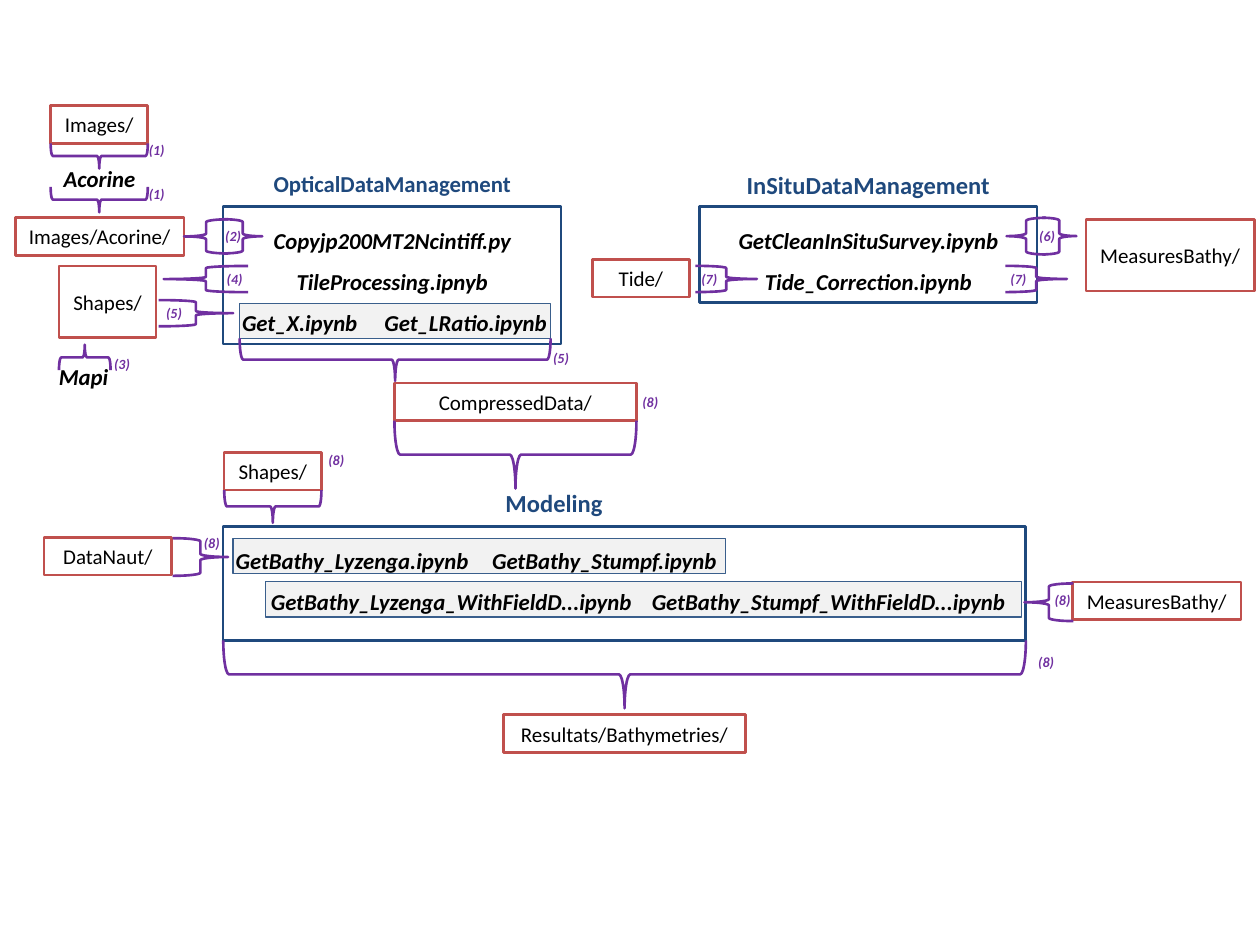
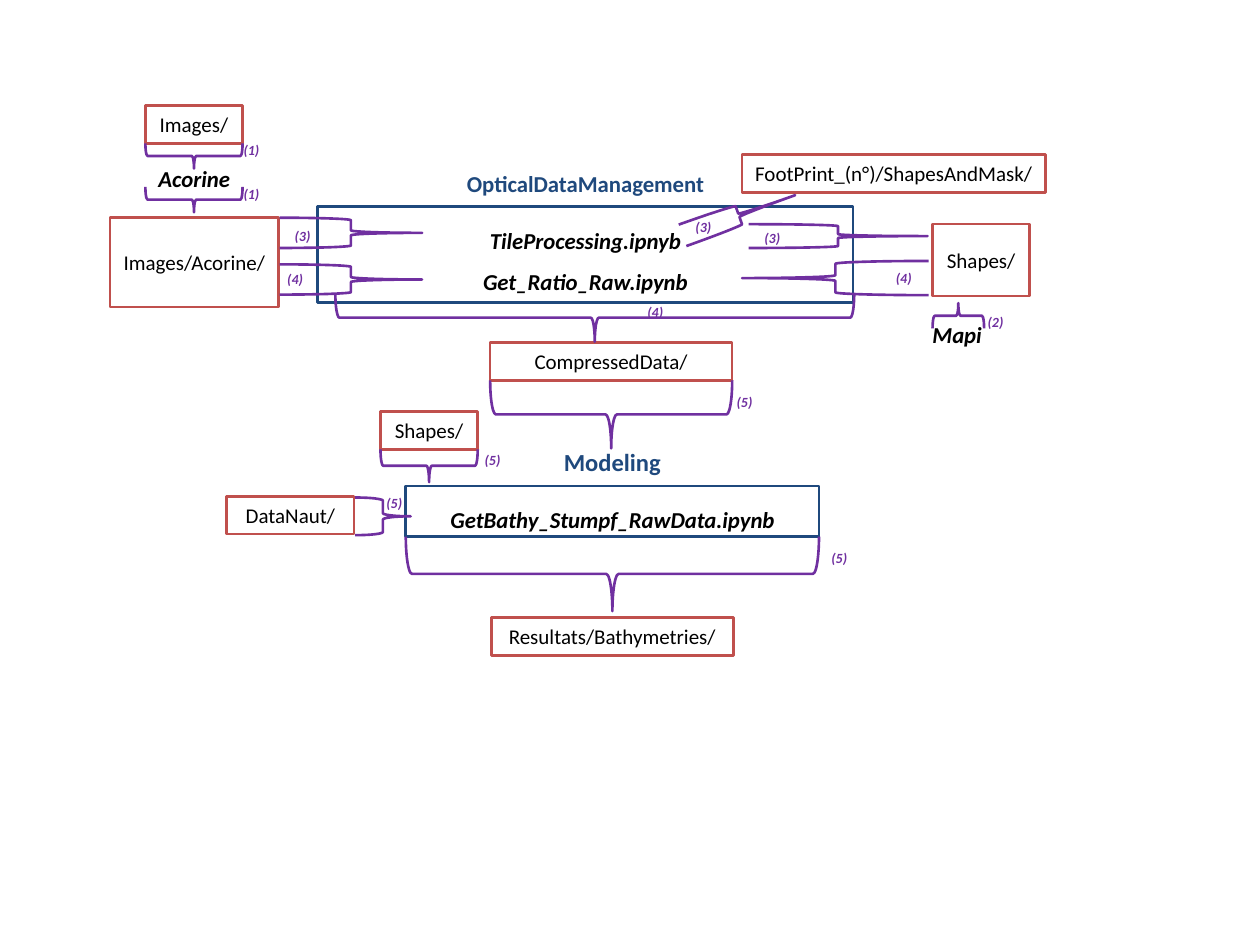
from dataclasses import dataclass

from lxml.etree import SubElement
from pptx import Presentation
from pptx.dml.color import RGBColor
from pptx.enum.shapes import MSO_SHAPE
from pptx.enum.text import MSO_ANCHOR, PP_ALIGN
from pptx.oxml.ns import qn
from pptx.util import Cm, Pt


@dataclass(frozen=True)
class Theme:
    """Colours, type sizes and standard lengths of the workflow diagrams."""

    font: str = "Calibri"
    ink: str = "000000"
    folder: str = "C0504D"
    stage: str = "1F497D"
    step: str = "7030A0"
    group_fill: str = "F2F2F2"
    group_line: str = "3A5F8C"
    heading_size: int = 14
    script_size: int = 13
    folder_size: int = 12
    step_size: int = 8
    line: float = 1.5
    thin_line: float = 0.75
    row: float = 0.76
    small_folder: float = 1.96
    wide_folder: float = 4.88


THEME = Theme()
TIP_ANGLE = {"right": 0, "down": 90, "left": 180, "up": 270}


def lengths(box):
    """Turn centimetre values into slide lengths."""
    return [Cm(value) for value in box]


def apply(target, formats):
    """Set every attribute named in a dict of format values."""
    for name, value in formats.items():
        setattr(target, name, value)


def write(owner, lines, size, color, bold=False, italic=False,
          align=PP_ALIGN.CENTER, anchor=MSO_ANCHOR.TOP, spacing=None):
    """Fill a shape with uniformly formatted paragraphs."""
    frame = owner.text_frame
    apply(frame, {"word_wrap": True, "vertical_anchor": anchor})
    for index, line in enumerate(lines):
        paragraph = frame.add_paragraph() if index else frame.paragraphs[0]
        apply(paragraph, {"alignment": align, "line_spacing": spacing})
        run = paragraph.add_run()
        run.text = line
        apply(run.font, {"name": THEME.font, "size": Pt(size),
                         "bold": bold, "italic": italic})
        run.font.color.rgb = RGBColor.from_string(color)


def outline(slide, kind, box, color, width=THEME.line, fill=None):
    """Add a preset shape with a coloured line and optional fill."""
    shape = slide.shapes.add_shape(kind, *lengths(box))
    shape.shadow.inherit = False
    if fill:
        shape.fill.solid()
        shape.fill.fore_color.rgb = RGBColor.from_string(fill)
    else:
        shape.fill.background()
    shape.line.color.rgb = RGBColor.from_string(color)
    shape.line.width = Pt(width)
    return shape


def folder(slide, text, left, top, width, height=THEME.row):
    """Add a red folder box."""
    box = outline(slide, MSO_SHAPE.RECTANGLE, (left, top, width, height), THEME.folder)
    write(box, [text], THEME.folder_size, THEME.ink, anchor=MSO_ANCHOR.MIDDLE)


def stage(slide, box, scripts):
    """Add a blue stage frame listing its scripts."""
    frame = outline(slide, MSO_SHAPE.RECTANGLE, box, THEME.stage)
    write(frame, scripts, THEME.script_size, THEME.ink, True, True, spacing=1.5)
    return frame


def set_columns(frame, row, stops):
    """Left-align one script row on the given tab stops."""
    paragraph = frame.text_frame.paragraphs[row]
    paragraph.alignment = PP_ALIGN.LEFT
    tabs = SubElement(paragraph._p.get_or_add_pPr(), qn("a:tabLst"))
    for stop in stops:
        SubElement(tabs, qn("a:tab"), pos=str(Cm(stop)), algn="l")


def script_group(slide, left, top, width):
    """Add the grey band behind alternative scripts."""
    outline(slide, MSO_SHAPE.RECTANGLE, (left, top, width, 0.71),
            THEME.group_line, THEME.thin_line, THEME.group_fill)


def caption(slide, text, box, size, color, **style):
    """Add free-standing bold text."""
    write(slide.shapes.add_textbox(*lengths(box)), [text], size, color, True, **style)


def heading(slide, text, left, top, width, size=THEME.heading_size):
    """Add the title above a stage."""
    caption(slide, text, (left, top, width, 0.86), size, THEME.stage)


def tool(slide, text, left, top):
    """Add the name of an external tool."""
    caption(slide, text, (left, top, 2.79, 0.81), THEME.script_size,
            THEME.ink, italic=True)


def step(slide, number, left, top):
    """Add a step number in parentheses."""
    caption(slide, f"({number})", (left, top, 0.96, 0.61), THEME.step_size,
            THEME.step, italic=True, align=PP_ALIGN.LEFT)


def brace(slide, tip, left, top, width, height):
    """Add a brace that covers the given area, by tip side or angle."""
    angle = TIP_ANGLE.get(tip, tip)
    if angle in (90, 270):
        left, top = left + (width - height) / 2, top + (height - width) / 2
        width, height = height, width
    shape = outline(slide, MSO_SHAPE.RIGHT_BRACE, (left, top, width, height), THEME.step)
    shape.rotation = angle


def feeding_folder(slide, text, left, top, width, depth):
    """Add a folder with a brace pointing down from it."""
    folder(slide, text, left, top, width)
    brace(slide, "down", left, top + THEME.row, width, depth)


def image_chain(slide, left, result_height):
    """Add the image correction chain."""
    feeding_folder(slide, "Images/", left, 2.13, THEME.small_folder, 0.51)
    tool(slide, "Acorine", left - 0.41, 3.2)
    brace(slide, "down", left, 3.77, THEME.small_folder, 0.51)
    for top in (2.72, 3.61):
        step(slide, 1, left + 1.73, top)
    folder(slide, "Images/Acorine/", left - 0.71, 4.39, 3.4, result_height)


def shapes_source(slide, left, top, number):
    """Add the shapes folder and the tool that fills it."""
    folder(slide, "Shapes/", left, top, THEME.small_folder, 1.45)
    brace(slide, "up", left, top + 1.59, 1.04, 0.51)
    tool(slide, "Mapi", left - 0.9, top + 1.83)
    step(slide, number, left + 0.86, top + 1.68)


def modeling(slide, box, scripts, number, heading_width, shapes_left, shapes_step_top, depth):
    """Add the modeling stage with its inputs and results."""
    left, top, width, height = box
    bottom = top + height
    heading(slide, "Modeling", left, top - 0.91, heading_width)
    frame = stage(slide, box, scripts)
    feeding_folder(slide, "Shapes/", shapes_left, top - 1.5, THEME.small_folder, 0.66)
    step(slide, number, shapes_left + 1.85, shapes_step_top)
    folder(slide, "DataNaut/", left - 3.61, top + 0.21, 2.57)
    brace(slide, "right", left - 1.02, top + 0.23, 1.12, THEME.row)
    step(slide, number, left - 0.64, top + 0.04)
    brace(slide, "down", left, bottom, width, depth)
    step(slide, number, left + width, bottom + 0.13)
    folder(slide, "Resultats/Bathymetries/", left + (width - THEME.wide_folder) / 2,
           bottom + depth + 0.13, THEME.wide_folder)
    return frame


def add_braces_and_steps(slide, braces, steps):
    """Add the links and step numbers particular to a slide."""
    for link in braces:
        brace(slide, *link)
    for mark in steps:
        step(slide, *mark)


def full_workflow(slide):
    """Draw the workflow with in situ data."""
    for band in ((5.36, 11.73, 15.24), (4.7, 10.85, 9.93), (4.83, 6.12, 6.27)):
        script_group(slide, *band)
    image_chain(slide, 1.02, THEME.row)
    shapes_source(slide, 1.19, 5.36, 3)

    heading(slide, "OpticalDataManagement", 4.5, 3.3, 6.81, THEME.script_size)
    optical = stage(slide, (4.5, 4.17, 6.81, 2.77),
                    ["Copyjp200MT2Ncintiff.py", "TileProcessing.ipnyb",
                     "\tGet_X.ipynb\tGet_LRatio.ipynb"])
    set_columns(optical, 2, (0.13, 3))
    heading(slide, "InSituDataManagement", 14.1, 3.3, 6.81)
    stage(slide, (14.1, 4.17, 6.81, 1.93),
          ["GetCleanInSituSurvey.ipynb", "Tide_Correction.ipynb"])
    folder(slide, "Tide/", 11.94, 5.23, THEME.small_folder)
    folder(slide, "MeasuresBathy/", 21.89, 4.42, 3.4, 1.45)
    folder(slide, "MeasuresBathy/", 21.62, 11.73, 3.4)
    feeding_folder(slide, "CompressedData/", 7.95, 7.72, THEME.wide_folder, 1.37)

    models = modeling(slide, (4.5, 10.62, 16.18, 2.29),
                      ["GetBathy_Lyzenga.ipynb\tGetBathy_Stumpf.ipynb",
                       "\tGetBathy_Lyzenga_WithFieldD...ipynb"
                       "\tGetBathy_Stumpf_WithFieldD...ipynb"],
                      8, 13.34, 4.52, 8.97, 1.37)
    set_columns(models, 0, (5.17,))
    set_columns(models, 1, (0.71, 8.39))
    add_braces_and_steps(
        slide,
        [("right", 4.5, 4.42, 0.79, 0.69), ("left", 3.71, 4.42, 0.89, 0.69),
         ("left", 3.3, 5.36, 1.7, 0.53), ("right", 3.2, 6.05, 1.5, 0.53),
         ("down", 4.83, 6.82, 6.27, 0.86), ("right", 21.01, 4.39, 0.69, 0.74),
         ("left", 20.29, 4.39, 0.79, 0.74), ("right", 14.02, 5.36, 1.24, 0.53),
         ("right", 20.27, 5.36, 1.24, 0.53), ("left", 20.65, 11.76, 0.99, 0.76)],
        [(2, 4.29, 4.47), (4, 4.32, 5.33), (5, 3.1, 6.02), (6, 20.7, 4.47),
         (7, 13.89, 5.33), (7, 20.12, 5.33), (5, 10.9, 6.93),
         (8, 12.7, 7.8), (8, 21.01, 11.81)])


def raw_workflow(slide):
    """Draw the workflow on raw ratios."""
    image_chain(slide, 2.93, 1.8)
    shapes_source(slide, 18.8, 4.52, 2)
    heading(slide, "OpticalDataManagement", 6.4, 3.3, 10.8, THEME.script_size)
    stage(slide, (6.4, 4.17, 10.8, 1.93),
          ["TileProcessing.ipnyb", "Get_Ratio_Raw.ipynb"])
    folder(slide, "FootPrint_(n°)/ShapesAndMask/", 14.96, 3.12, 6.12)
    feeding_folder(slide, "CompressedData/", 9.88, 6.91, THEME.wide_folder, 1.37)
    modeling(slide, (8.18, 9.8, 8.33, 1.02), ["GetBathy_Stumpf_RawData.ipynb"],
             5, 8.33, 7.67, 8.97, 1.5)
    add_braces_and_steps(
        slide,
        [("right", 5.64, 4.39, 2.87, 0.61), ("right", 5.64, 5.33, 2.87, 0.61),
         ("left", 14.96, 5.26, 3.76, 0.69), ("right", 15.09, 4.52, 3.61, 0.48),
         ("down", 6.76, 5.92, 10.46, 0.97), (340.4, 13.69, 4.11, 2.41, 0.46)],
        [(3, 5.69, 4.47), (4, 5.54, 5.33), (3, 13.77, 4.29), (3, 15.16, 4.5),
         (4, 17.81, 5.31), (4, 12.8, 5.99), (5, 14.6, 7.8)])


def main():
    """Build and save both workflow slides."""
    deck = Presentation()
    apply(deck, {"slide_width": Cm(25.4), "slide_height": Cm(19.05)})
    for draw in (full_workflow, raw_workflow):
        draw(deck.slides.add_slide(deck.slide_layouts[6]))
    deck.save("out.pptx")


if __name__ == "__main__":
    main()
